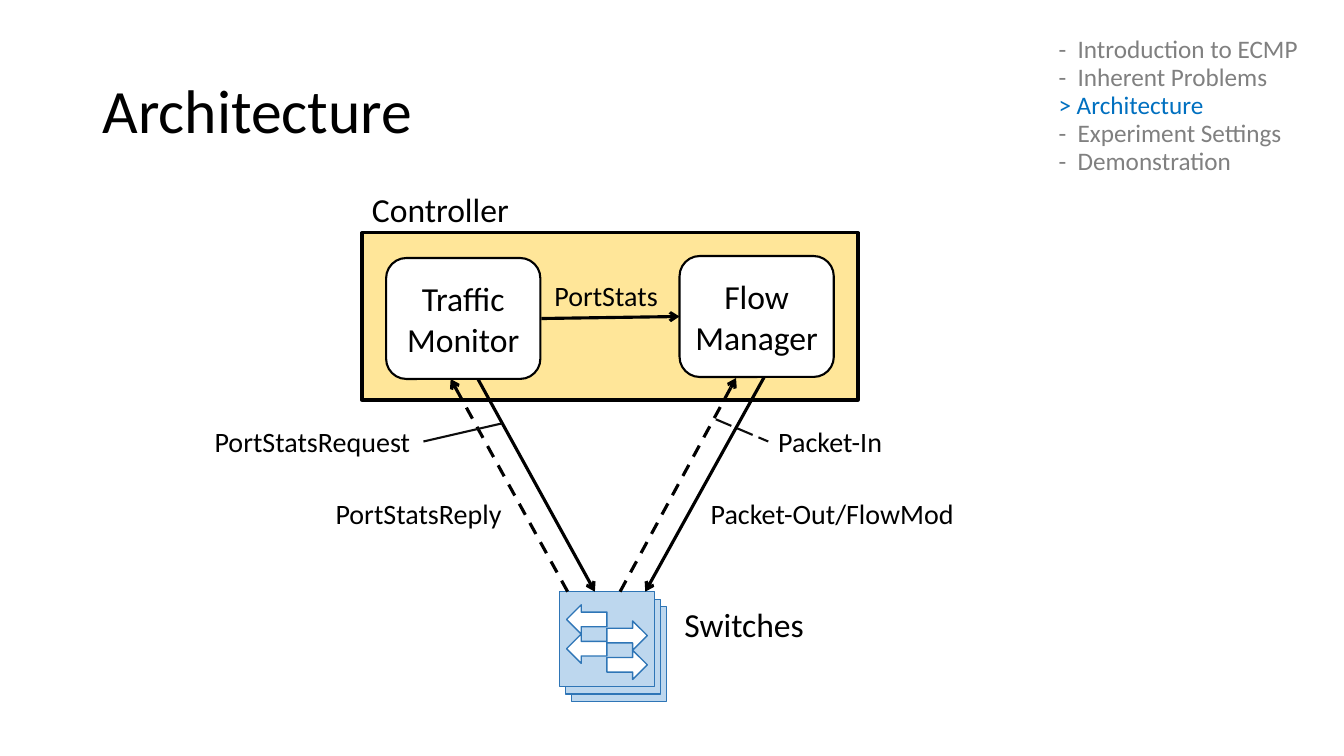
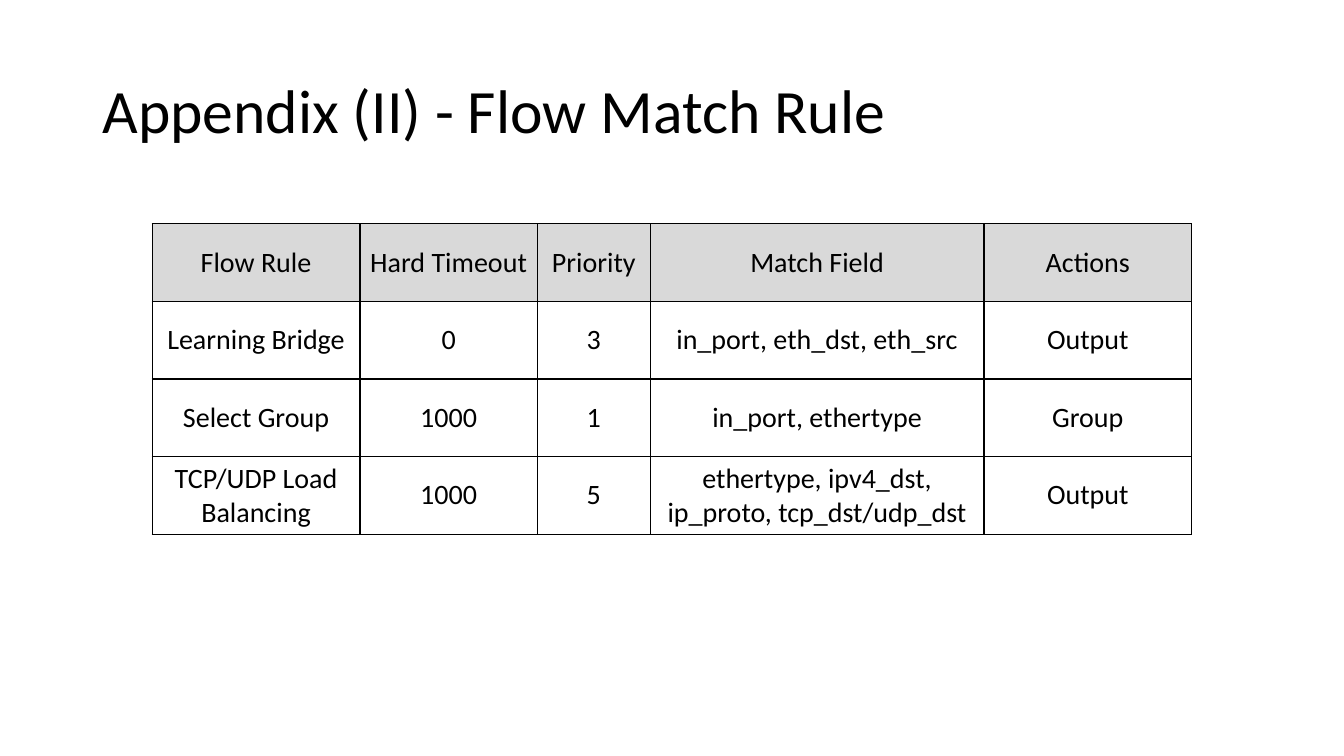
from lxml.etree import SubElement
from pptx import Presentation
from pptx.dml.color import RGBColor
from pptx.enum.dml import MSO_LINE as Dash
from pptx.enum.shapes import MSO_CONNECTOR as Connector, MSO_SHAPE as Preset
from pptx.enum.text import MSO_ANCHOR as Anchor, MSO_AUTO_SIZE as AutoSize, PP_ALIGN as Align
from pptx.oxml.ns import qn
from pptx.util import Inches, Pt

FONT = "Calibri"
BLACK, WHITE, GREY, ACCENT = "000000", "FFFFFF", "808080", "0070C0"
CONTROLLER_FILL, SWITCH_FILL, SWITCH_LINE = "FFE699", "BDD7EE", "2E75B6"
LEADER, HEADER_FILL = "0D0D0D", "D9D9D9"
TITLE_BOX = (0.92, 0.4, 11.5, 1.45)

AGENDA = ["-  Introduction to ECMP", "-  Inherent Problems", "> Architecture",
          "-  Experiment Settings", "-  Demonstration"]
AGENDA_BOX = (10.4, 0.44, 2.85, 1.64)

CONTROLLER_BOX = (3.59, 2.31, 4.92, 1.66)
MODULES = [("Traffic Monitor", 3.83, 2.56), ("Flow Manager", 6.74, 2.54)]
MODULE_SIZE = (1.53, 1.2)

SWITCH_LEFT, SWITCH_TOP, SWITCH_SIDE = 5.55, 5.87, 0.94
STACK_STEP = (0.06, 0.075)
STACK_COUNT = 3
PORT_SIZE = (0.4, 0.29)
PORT_COLUMNS = [(Preset.LEFT_ARROW, 0.07, 0.13), (Preset.RIGHT_ARROW, 0.47, 0.29)]

LABELS = [
    ("Controller", 24, (3.59, 1.83, 1.57, 0.5)),
    ("Switches", 24, (6.69, 5.94, 1.55, 0.56)),
    ("PortStatsReply", 20, (3.23, 4.88, 1.87, 0.44)),
    ("PortStatsRequest", 20, (2.03, 4.16, 2.16, 0.44)),
    ("Packet-In", 20, (7.62, 4.16, 1.25, 0.44)),
    ("Packet-Out/FlowMod", 20, (6.95, 4.88, 2.73, 0.44)),
    ("PortStats", 20, (5.4, 2.71, 1.24, 0.44)),
]
MESSAGES = [
    ((5.63, 5.87), (4.47, 3.76), Dash.DASH),
    ((4.74, 3.76), (5.9, 5.87), None),
    ((7.58, 3.74), (6.4, 5.87), None),
    ((6.15, 5.87), (7.3, 3.75), Dash.DASH),
    ((5.37, 3.16), (6.74, 3.14), None),
]
LEADERS = [((4.2, 4.38), (4.98, 4.2), None),
           ((7.1, 4.16), (7.62, 4.38), Dash.LONG_DASH)]

RULES = [
    ("Flow Rule", "Hard Timeout", "Priority", "Match Field", "Actions"),
    ("Learning Bridge", "0", "3", "in_port, eth_dst, eth_src", "Output"),
    ("Select Group", "1000", "1", "in_port, ethertype", "Group"),
    ("TCP/UDP Load Balancing", "1000", "5",
     "ethertype, ipv4_dst, ip_proto, tcp_dst/udp_dst", "Output"),
]
RULE_ORIGIN = (1.51, 2.22)
RULE_COLUMNS = [2.06, 1.76, 1.12, 3.31, 2.06]
RULE_ROW = 0.77


def color(value):
    return RGBColor.from_string(value)


def inches(values):
    return [Inches(value) for value in values]


def write(paragraph, text, size, ink=BLACK, align=Align.LEFT):
    paragraph.alignment = align
    run = paragraph.add_run()
    run.text = text
    run.font.name = FONT
    run.font.size = Pt(size)
    run.font.color.rgb = color(ink)


def add_frame(slide, box, wrap=True):
    frame = slide.shapes.add_textbox(*inches(box)).text_frame
    frame.word_wrap = wrap
    return frame


def add_titled_slide(deck, text):
    slide = deck.slides.add_slide(deck.slide_layouts[6])
    frame = add_frame(slide, TITLE_BOX)
    frame.vertical_anchor = Anchor.MIDDLE
    frame.paragraphs[0].line_spacing = 0.9
    write(frame.paragraphs[0], text, 44)
    return slide


def add_block(slide, preset, box, fill, line, width):
    block = slide.shapes.add_shape(preset, *inches(box))
    block.shadow.inherit = False
    block.fill.solid()
    block.fill.fore_color.rgb = color(fill)
    block.line.color.rgb = color(line)
    block.line.width = Pt(width)
    return block


def add_line(slide, start, end, dash, ink, width, arrow=False):
    link = slide.shapes.add_connector(Connector.STRAIGHT, *inches(start + end))
    link.line.color.rgb = color(ink)
    link.line.width = Pt(width)
    if dash is not None:
        link.line.dash_style = dash
    if arrow:
        SubElement(link.line._get_or_add_ln(), qn("a:tailEnd"), type="arrow")
    SubElement(link._element.spPr, qn("a:effectLst"))


def add_agenda(slide):
    frame = add_frame(slide, AGENDA_BOX)
    for index, entry in enumerate(AGENDA):
        paragraph = frame.add_paragraph() if index else frame.paragraphs[0]
        paragraph.line_spacing = paragraph.space_before = Pt(10)
        write(paragraph, entry, 18, ACCENT if entry.startswith(">") else GREY)


def add_switches(slide):
    for depth in reversed(range(STACK_COUNT)):
        left = SWITCH_LEFT + depth * STACK_STEP[0]
        top = SWITCH_TOP + depth * STACK_STEP[1]
        add_block(slide, Preset.RECTANGLE, (left, top, SWITCH_SIDE, SWITCH_SIDE),
                  SWITCH_FILL, SWITCH_LINE, 1)
    for preset, dx, dy in PORT_COLUMNS:
        for row in range(2):
            port = (SWITCH_LEFT + dx, SWITCH_TOP + dy + row * PORT_SIZE[1], *PORT_SIZE)
            add_block(slide, preset, port, WHITE, SWITCH_LINE, 1)


def add_architecture(deck):
    slide = add_titled_slide(deck, "Architecture")
    add_agenda(slide)
    add_block(slide, Preset.RECTANGLE, CONTROLLER_BOX, CONTROLLER_FILL, BLACK, 2.25)
    for name, left, top in MODULES:
        module = add_block(slide, Preset.ROUNDED_RECTANGLE, (left, top, *MODULE_SIZE),
                           WHITE, BLACK, 1.5)
        module.text_frame.word_wrap = True
        module.text_frame.vertical_anchor = Anchor.MIDDLE
        write(module.text_frame.paragraphs[0], name, 24, align=Align.CENTER)
    add_switches(slide)
    for start, end, dash in MESSAGES:
        add_line(slide, start, end, dash, BLACK, 2.25, arrow=True)
    for start, end, dash in LEADERS:
        add_line(slide, start, end, dash, LEADER, 1.5)
    for text, size, box in LABELS:
        frame = add_frame(slide, box, wrap=False)
        frame.auto_size = AutoSize.SHAPE_TO_FIT_TEXT
        write(frame.paragraphs[0], text, size)


def add_borders(cell):
    properties = cell._tc.get_or_add_tcPr()
    for position, side in enumerate(("a:lnL", "a:lnR", "a:lnT", "a:lnB")):
        border = properties.makeelement(qn(side), {"w": str(Pt(1))})
        ink = SubElement(border, qn("a:solidFill"))
        SubElement(ink, qn("a:srgbClr"), val=BLACK)
        properties.insert(position, border)


def add_rules(deck):
    slide = add_titled_slide(deck, "Appendix (II) - Flow Match Rule")
    size = (sum(RULE_COLUMNS), RULE_ROW * len(RULES))
    table = slide.shapes.add_table(len(RULES), len(RULE_COLUMNS),
                                   *inches(RULE_ORIGIN + size)).table
    table.first_row = table.horz_banding = False
    for column, width in zip(table.columns, RULE_COLUMNS):
        column.width = Inches(width)
    for index, rule in enumerate(RULES):
        table.rows[index].height = Inches(RULE_ROW)
        for cell, text in zip(table.rows[index].cells, rule):
            cell.vertical_anchor = Anchor.MIDDLE
            if index == 0:
                cell.fill.solid()
                cell.fill.fore_color.rgb = color(HEADER_FILL)
            else:
                cell.fill.background()
            write(cell.text_frame.paragraphs[0], text, 20, align=Align.CENTER)
            add_borders(cell)


def main():
    deck = Presentation()
    deck.slide_width, deck.slide_height = inches((13.33, 7.5))
    add_architecture(deck)
    add_rules(deck)
    deck.save("out.pptx")


if __name__ == "__main__":
    main()
